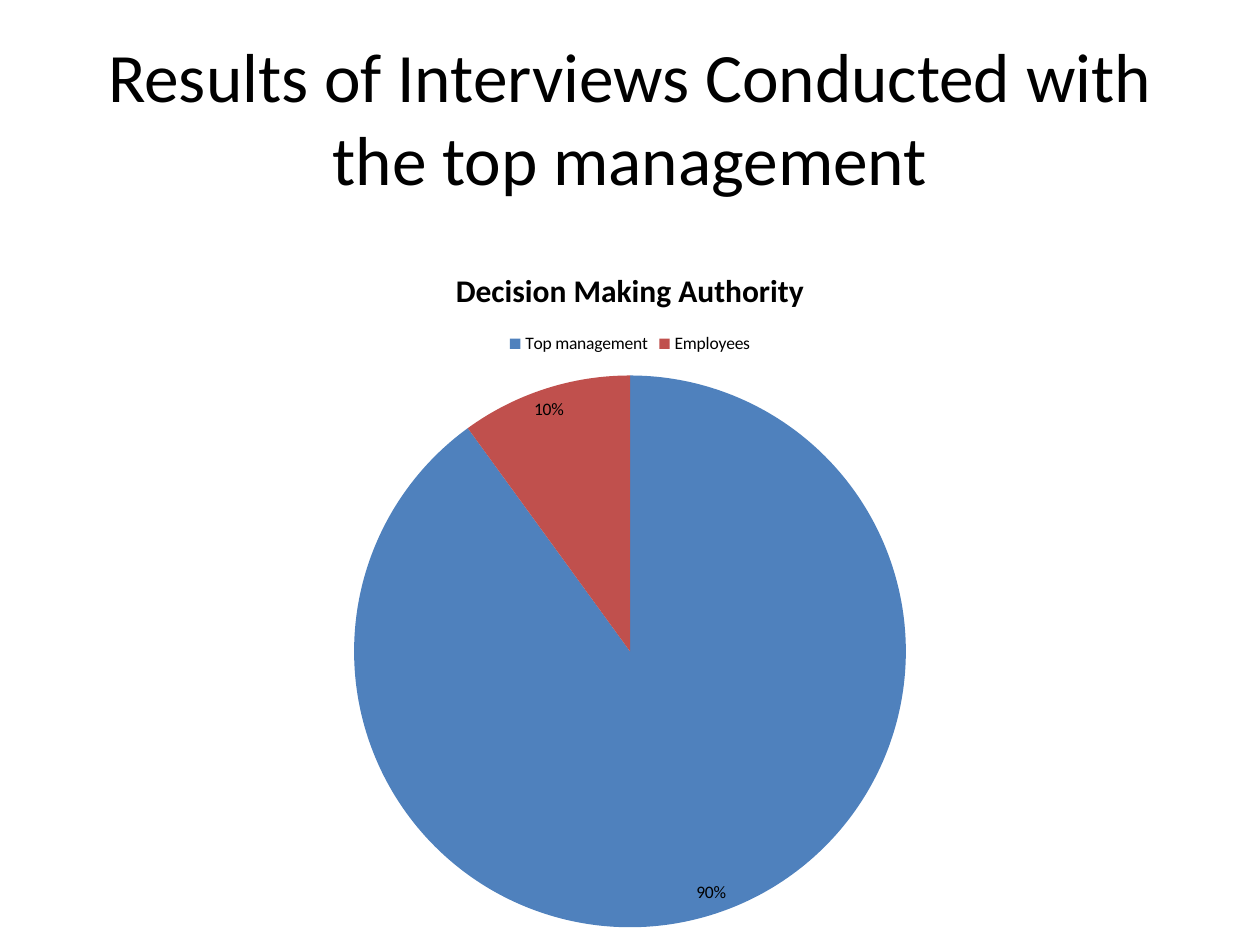
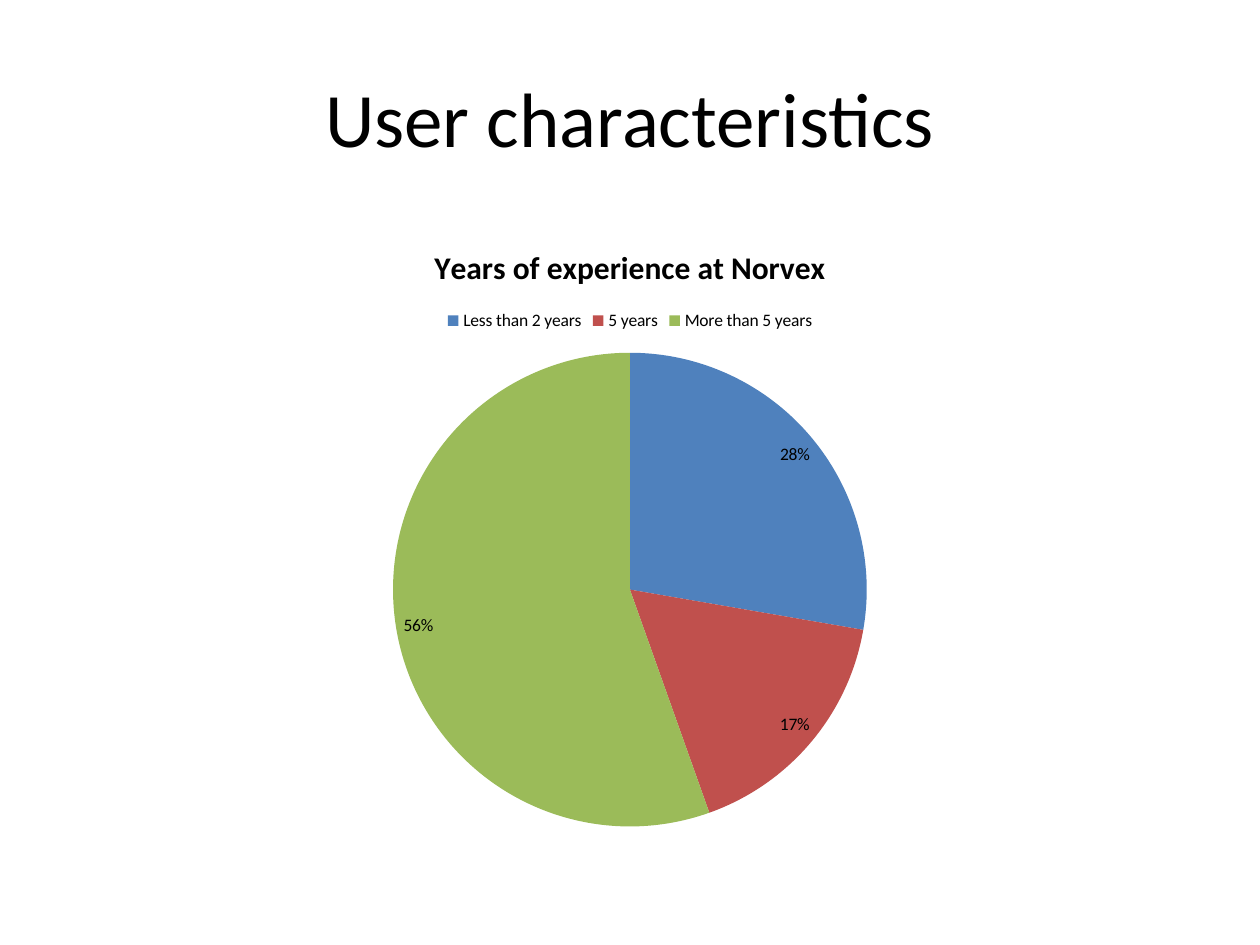
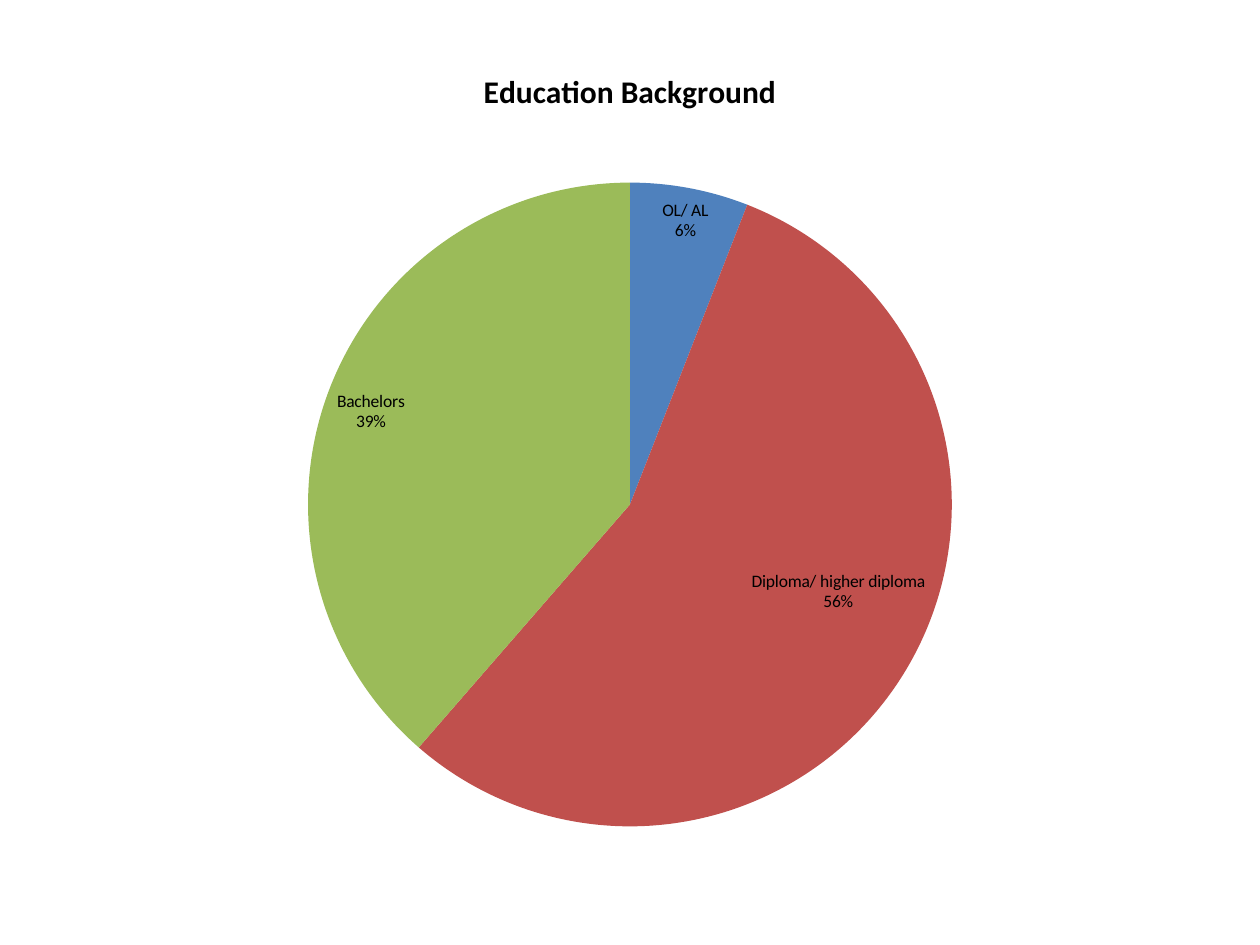
from lxml import etree
from pptx import Presentation
from pptx.chart.data import CategoryChartData
from pptx.dml.color import RGBColor
from pptx.enum.chart import XL_CHART_TYPE, XL_LABEL_POSITION, XL_LEGEND_POSITION
from pptx.enum.text import MSO_ANCHOR, PP_ALIGN
from pptx.oxml.ns import qn
from pptx.util import Inches, Pt

BLACK = RGBColor(0x00, 0x00, 0x00)
BLUE = RGBColor(0x4F, 0x81, 0xBD)
RED = RGBColor(0xC0, 0x50, 0x4D)
GREEN = RGBColor(0x9B, 0xBB, 0x59)
PURPLE = RGBColor(0x80, 0x64, 0xA2)
SLICE_COLORS = (BLUE, RED, GREEN, PURPLE)
FONT = "Calibri"
MARGIN = 0.5
CONTENT_WIDTH = 9


def add_element(parent, tag, **attributes):
    """Append a chart element to its parent and return it."""
    return etree.SubElement(parent, qn(f"c:{tag}"), attributes)


class Deck:
    """Hold the shared style and the current slide."""

    def __init__(self):
        """Start an empty 10 by 7.5 inch presentation."""
        self.presentation = Presentation()
        self.presentation.slide_width = Inches(10)
        self.presentation.slide_height = Inches(7.5)
        self.slide = None

    def new_slide(self):
        """Add a blank slide and make it current."""
        self.slide = self.presentation.slides.add_slide(self.presentation.slide_layouts[6])

    def style(self, font, size, bold=False):
        """Apply the common typeface and colour."""
        font.name = FONT
        font.size = Pt(size)
        font.bold = bold
        font.color.rgb = BLACK

    def title(self, wording, size):
        """Add the centred slide title."""
        frame = self.slide.shapes.add_textbox(
            Inches(MARGIN), Inches(0.3), Inches(CONTENT_WIDTH), Inches(1.25)).text_frame
        frame.word_wrap = True
        frame.vertical_anchor = MSO_ANCHOR.MIDDLE
        heading = frame.paragraphs[0]
        heading.text = wording
        heading.alignment = PP_ALIGN.CENTER
        self.style(heading.font, size)

    def pie(self, question, shares, top, height, pie_top, diameter, legend=True):
        """Add a pie chart of percentage shares, named by a legend or by labels."""
        answers = CategoryChartData(number_format="0")
        answers.categories = list(shares)
        answers.add_series(question, list(shares.values()))
        chart = self.slide.shapes.add_chart(
            XL_CHART_TYPE.PIE, Inches(MARGIN), Inches(top),
            Inches(CONTENT_WIDTH), Inches(height), answers).chart
        self.style(chart.font, 10)

        chart.has_title = True
        heading = chart.chart_title.text_frame.paragraphs[0]
        heading.text = question
        self.style(heading.font, 18, bold=True)

        chart.has_legend = legend
        if legend:
            chart.legend.position = XL_LEGEND_POSITION.TOP
            chart.legend.include_in_layout = False
            self.style(chart.legend.font, 10)

        plot = chart.plots[0]
        plot.vary_by_categories = True
        series = plot.series[0]
        for index, color in enumerate(SLICE_COLORS[:len(shares)]):
            fill = series.points[index].format.fill
            fill.solid()
            fill.fore_color.rgb = color

        self.label_slices(series.data_labels, shares, not legend)
        self.place_pie(chart, (pie_top - top) / height, diameter / CONTENT_WIDTH,
                       diameter / height)

    def label_slices(self, labels, shares, show_names):
        """Show each share near the rim and leave empty slices unlabelled."""
        labels.show_value = True
        labels.show_category_name = show_names
        labels.number_format = '0"%"'
        labels.number_format_is_linked = False
        labels.position = XL_LABEL_POSITION.BEST_FIT
        self.style(labels.font, 10)
        root = labels._element
        separator = etree.Element(qn("c:separator"))
        separator.text = "\n"
        root.find(qn("c:showBubbleSize")).addnext(separator)
        empty = [index for index, share in enumerate(shares.values()) if share == 0]
        for position, index in enumerate(empty):
            label = etree.Element(qn("c:dLbl"))
            add_element(label, "idx", val=str(index))
            add_element(label, "delete", val="1")
            root.insert(position, label)

    def place_pie(self, chart, top, width, height):
        """Centre the pie across the chart, in fractions of the chart area."""
        area = chart._chartSpace.chart.plotArea
        for old in area.findall(qn("c:layout")):
            area.remove(old)
        layout = etree.Element(qn("c:layout"))
        area.insert(0, layout)
        manual = add_element(layout, "manualLayout")
        add_element(manual, "layoutTarget", val="inner")
        add_element(manual, "xMode", val="edge")
        add_element(manual, "yMode", val="edge")
        fractions = {"x": (1 - width) / 2, "y": top, "w": width, "h": height}
        for tag, fraction in fractions.items():
            add_element(manual, tag, val=f"{fraction:.4f}")


def main():
    """Build the three slides of survey results."""
    deck = Deck()

    deck.new_slide()
    deck.title("Results of Interviews Conducted with the top management", 39.6)
    deck.pie("Decision Making Authority", {"Top management": 90, "Employees": 10},
             top=1.92, height=5.58, pie_top=2.98, diameter=4.38)

    deck.new_slide()
    deck.title("User characteristics", 44)
    deck.pie("Years of experience at Norvex",
             {"Less than 2 years": 28, "5 years": 17, "More than 5 years": 56},
             top=1.75, height=4.95, pie_top=2.8, diameter=3.76)

    deck.new_slide()
    deck.pie("Education Background",
             {"OL/ AL": 6, "Diploma/ higher diploma": 56, "Bachelors": 39, "Masters": 0},
             top=0.33, height=6.37, pie_top=1.45, diameter=5.11, legend=False)

    deck.presentation.save("out.pptx")


if __name__ == "__main__":
    main()
